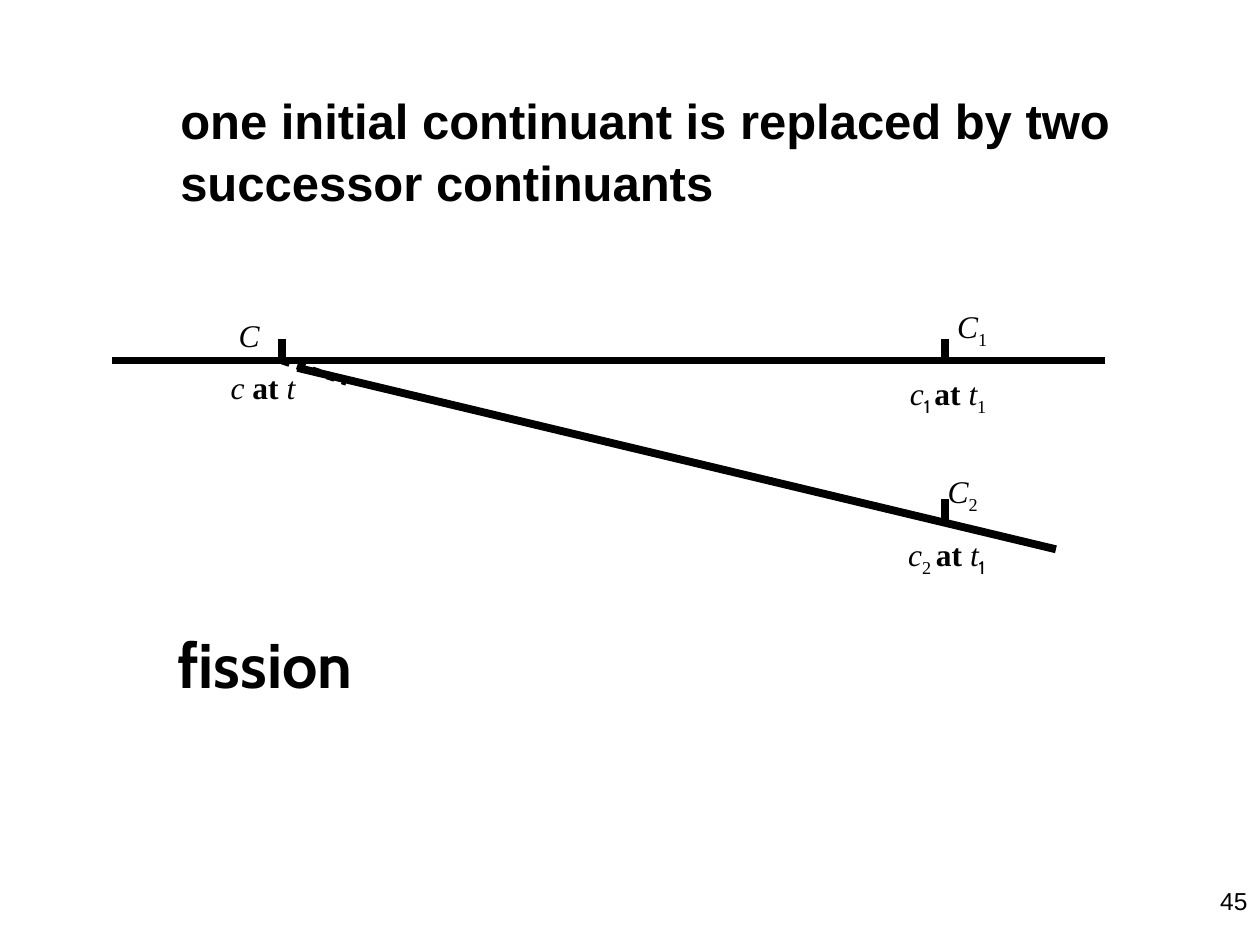
"""Build the fission slide: one continuant line splitting into two successors."""
from pptx import Presentation, util as u
from pptx.dml.color import RGBColor
from pptx.enum import dml, text
from pptx.enum.shapes import MSO_CONNECTOR
from pptx.oxml.ns import qn
from lxml import etree

Pt = u.Pt
BLACK = RGBColor(0, 0, 0)
TITLE = "one initial continuant is replaced by two successor continuants"
SERIF, SANS, HEAD = "Times New Roman", "Arial", "Cabin"

ITAL = {"italic": True}
BOLD = {"bold": True}
SUB = {"base": -25000}
ALT = {"base": -25000, "name": HEAD}

LINES = [
    (64, 206, 631.5, 206, None),
    (170, 210.2, 603.4, 313.9, None),
    (161.3, 206, 198, 218.2, dml.MSO_LINE.ROUND_DOT),
]
TICKS = [(161.3, 193.7), (540, 193.7), (540, 285.1)]
RISE = 12.2

LABELS = [
    {"box": (126, 177.8, 76.3, 80.6), "pad": (5.8, 2.9), "after": 8, "dent": 4.5,
     "rows": [[("C", ITAL)],
              [("c ", ITAL), ("at ", BOLD), ("t", ITAL)]]},
    {"box": (514.1, 172.8, 86.4, 109.4), "pad": (5.8, 2.9), "after": 13.5, "dent": 27,
     "rows": [[("C", ITAL), ("1", SUB)],
              [("c", ITAL), ("1 ", ALT), ("at ", BOLD), ("t", ITAL), ("1", SUB)]]},
    {"box": (511.9, 266.4, 120.2, 67.7), "pad": (7.2, 3.6), "after": 11.2, "dent": 22.5,
     "rows": [[("C", ITAL), ("2", SUB)],
              [("c", ITAL), ("2 ", SUB), ("at ", BOLD), ("t", ITAL), ("1", ALT)]]},
    {"box": (94.3, 354.2, 270, 50.4),
     "rows": [[("fission", {"name": HEAD, "size": Pt(36), "bold": True})]]},
    {"box": (552.2, 502.6, 167.8, 37.4), "align": text.PP_ALIGN.RIGHT,
     "rows": [[("45", {"name": SANS, "size": Pt(14)})]]},
]


def put(obj, vals):
    for key, val in vals.items():
        setattr(obj, key, val)


def place(shape, box, pad=(7.2, 3.6), anchor=text.MSO_ANCHOR.TOP):
    put(shape, dict(zip(("left", "top", "width", "height"), map(Pt, box))))
    side, end = map(Pt, pad)
    put(shape.text_frame, {
        "word_wrap": True, "auto_size": text.MSO_AUTO_SIZE.NONE,
        "vertical_anchor": anchor, "margin_left": side, "margin_right": side,
        "margin_top": end, "margin_bottom": end})


def write(para, runs):
    for words, look in runs:
        run = para.add_run()
        run.text = words
        look = {"name": SERIF, "size": Pt(18), "bold": False, "italic": False, **look}
        base = look.pop("base", None)
        put(run.font, look)
        run.font.color.rgb = BLACK
        if base:
            run._r.get_or_add_rPr().set("baseline", str(base))


def label(slide, item):
    shape = slide.shapes.add_textbox(0, 0, 0, 0)
    place(shape, item["box"], item.get("pad", (7.2, 3.6)))
    frame = shape.text_frame
    for num, runs in enumerate(item["rows"]):
        para = frame.add_paragraph() if num else frame.paragraphs[0]
        para.alignment = item.get("align", text.PP_ALIGN.LEFT)
        if num == 0 and "dent" in item:
            para.space_after = Pt(item["after"])
            para._p.get_or_add_pPr().set("marL", str(Pt(item["dent"])))
        write(para, runs)


def draw(slide, x1, y1, x2, y2, dash=None):
    line = slide.shapes.add_connector(MSO_CONNECTOR.STRAIGHT, *map(Pt, (x1, y1, x2, y2)))
    line.line.color.rgb = BLACK
    line.line.width = Pt(4.5)
    if dash:
        line.line.dash_style = dash
    etree.SubElement(line._element.spPr, qn("a:effectLst"))


def main():
    deck = Presentation()
    put(deck, {"slide_width": Pt(720), "slide_height": Pt(540)})
    slide = deck.slides.add_slide(deck.slide_layouts[5])
    title = slide.shapes.title
    place(title, (95.8, 48.2, 576, 74.2), anchor=text.MSO_ANCHOR.MIDDLE)
    para = title.text_frame.paragraphs[0]
    put(para, {"alignment": text.PP_ALIGN.LEFT, "line_spacing": 1.05})
    write(para, [(TITLE, {"name": SANS, "size": Pt(28), "bold": True})])
    for line in LINES:
        draw(slide, *line)
    for x, y in TICKS:
        draw(slide, x, y, x, y + RISE)
    for item in LABELS:
        label(slide, item)
    deck.save("out.pptx")


if __name__ == "__main__":
    main()
